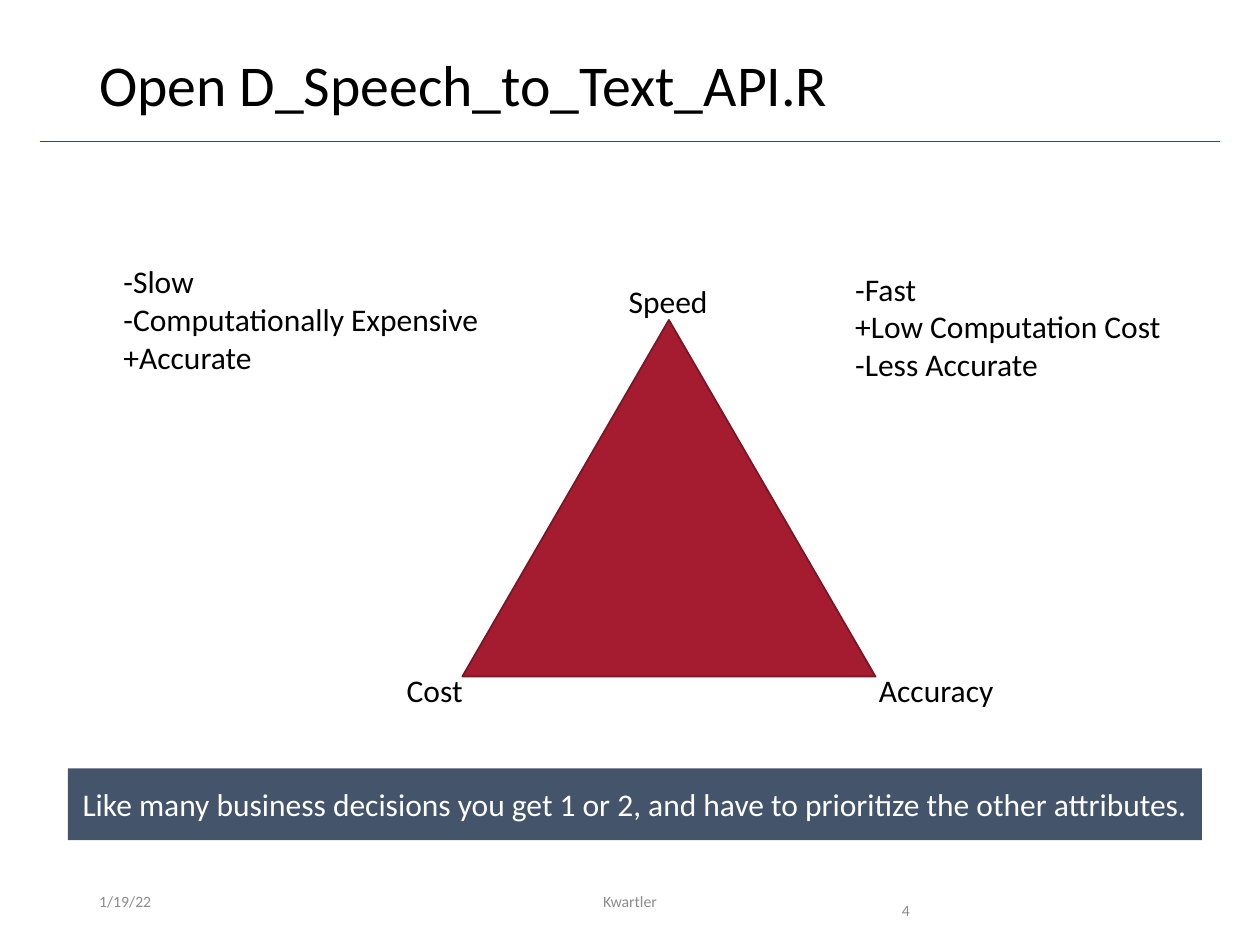
from pptx import Presentation
from pptx import util as u
from pptx.dml.color import RGBColor
from pptx.enum import shapes, text
from pptx.oxml.ns import qn
from lxml import etree

RED, EDGE, NAVY, GREY = "A51C30", "7A1524", "44546A", "8C8C8C"
TOP, MID = text.MSO_ANCHOR.TOP, text.MSO_ANCHOR.MIDDLE
LEFT, CENTER = text.PP_ALIGN.LEFT, text.PP_ALIGN.CENTER


def color(code):
    """Turn a hex string into a colour."""
    return RGBColor.from_string(code)


def cms(*sizes):
    """Turn centimetre numbers into lengths."""
    return [u.Cm(size) for size in sizes]


def write(shape, words, size=18, ink="000000", align=LEFT, anchor=TOP,
          space=None, wrap=True):
    """Fill a shape with one paragraph for each line of words."""
    frame = shape.text_frame
    frame.word_wrap = wrap
    frame.vertical_anchor = anchor
    if not wrap:
        frame.auto_size = text.MSO_AUTO_SIZE.SHAPE_TO_FIT_TEXT
    frame.text = words
    for para in frame.paragraphs:
        para.alignment = align
        if space:
            para.line_spacing = space
        font = para.font
        font.name, font.size = "Calibri", u.Pt(size)
        font.color.rgb = color(ink)


def label(slide, box, words, **form):
    """Place a text box with formatted words."""
    write(slide.shapes.add_textbox(*cms(*box)), words, **form)


def block(slide, kind, box, fill, edge=None):
    """Place a filled preset shape."""
    shape = slide.shapes.add_shape(kind, *cms(*box))
    shape.shadow.inherit = False
    shape.fill.solid()
    shape.fill.fore_color.rgb = color(fill)
    if edge:
        shape.line.color.rgb = color(edge)
        shape.line.width = u.Pt(1)
    else:
        shape.line.fill.background()
    return shape


def header(slide, box):
    """Place the title and the rule below it."""
    x, y, w, h = box
    label(slide, (x + 0.94, y, w - 1.88, 1.65),
          "Open D_Speech_to_Text_API.R", size=33, space=0.9)
    rule = slide.shapes.add_connector(
        shapes.MSO_CONNECTOR.STRAIGHT, *cms(x, y + h, x + w, y + h))
    rule.line.color.rgb = color(RED)
    rule.line.width = u.Pt(0.5)
    etree.SubElement(rule._element.spPr, qn("a:effectLst"))


def trade(slide, box):
    """Place the triangle and a label at each corner."""
    x, y, w, h = box
    block(slide, shapes.MSO_SHAPE.ISOSCELES_TRIANGLE, box, RED, EDGE)
    corners = (("Speed", x + w / 2 - 1.06, y - 0.89, 2.13),
               ("Cost", x - 1.37, y + h - 0.23, 1.65),
               ("Accuracy", x + w - 0.18, y + h - 0.23, 2.84))
    for name, left, top, wide in corners:
        label(slide, (left, top, wide, 1.02), name, wrap=False)


def notes(slide, box):
    """Place the two lists of traits at the sides of the box."""
    x, y, w, h = box
    label(slide, (x, y, 7.75, h),
          "-Slow\n-Computationally Expensive\n+Accurate", wrap=False)
    label(slide, (x + w - 6.76, y + 0.15, 6.76, h),
          "-Fast\n+Low Computation Cost\n-Less Accurate", wrap=False)


def banner(slide, box):
    """Place the closing message."""
    bar = block(slide, shapes.MSO_SHAPE.RECTANGLE, box, NAVY)
    write(bar, "Like many business decisions you get 1 or 2, and have to "
          "prioritize the other attributes.", ink="FFFFFF",
          align=CENTER, anchor=MID)


def footer(slide, box):
    """Place the date, the author and the page number."""
    x, y, w, h = box
    form = {"size": 9, "ink": GREY}
    label(slide, (x, y, 5.72, h), "1/19/22", anchor=MID, **form)
    label(slide, (x + (w - 8.58) / 2, y, 8.58, h), "Kwartler",
          align=CENTER, anchor=MID, **form)
    label(slide, (x + 16.18, y, 2.39, h), "4", space=2.0, **form)


def main():
    """Build and save the slide."""
    deck = Presentation()
    deck.slide_width, deck.slide_height = cms(25.4, 19.05)
    slide = deck.slides.add_slide(deck.slide_layouts[6])
    header(slide, (0.81, 1.02, 23.78, 1.83))
    trade(slide, (9.32, 6.45, 8.33, 7.19))
    notes(slide, (2.24, 5.16, 21.51, 2.57))
    banner(slide, (1.37, 15.49, 22.86, 1.45))
    footer(slide, (1.75, 17.65, 21.9, 1.02))
    deck.save("out.pptx")


if __name__ == "__main__":
    main()
